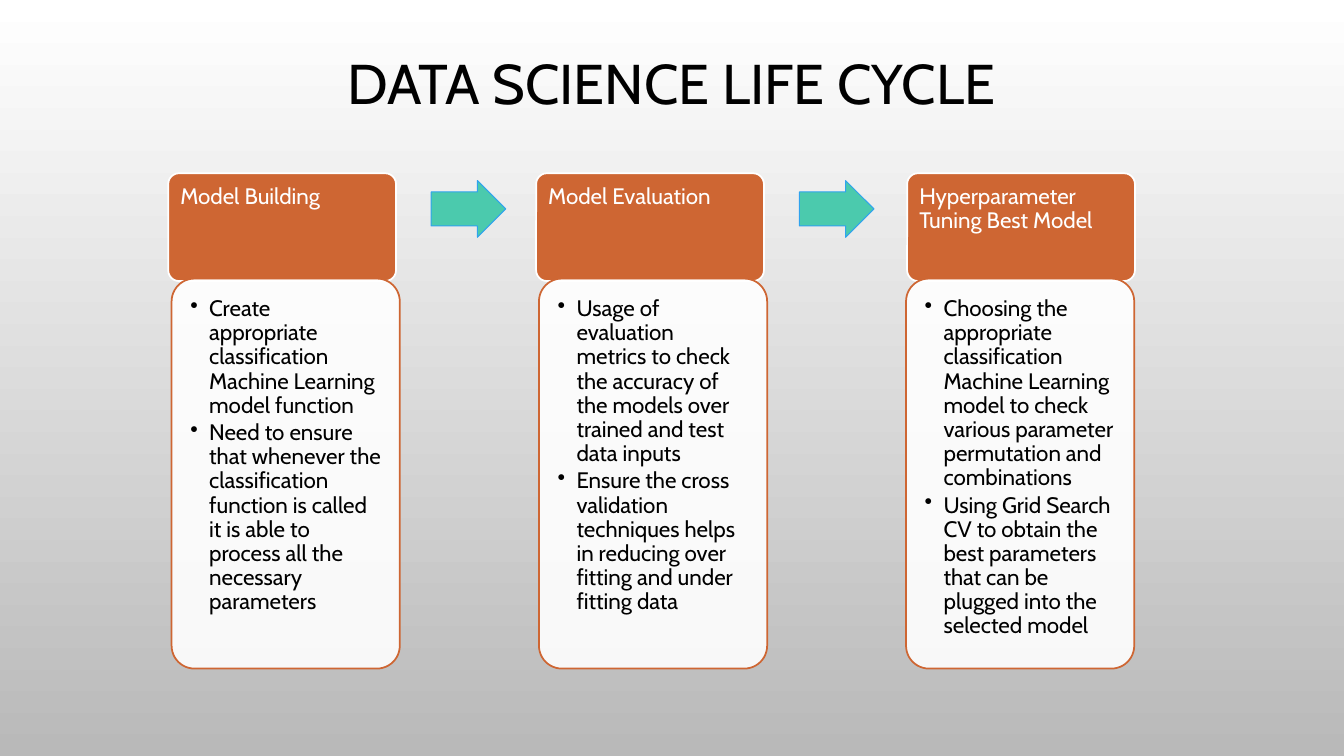
import pptx
import pptx.dml.color
import pptx.enum.shapes
import pptx.enum.text
import pptx.oxml.xmlchemy
import pptx.util
from lxml import etree
import pptx.oxml.ns

Pt = pptx.util.Pt
RGB = pptx.dml.color.RGBColor.from_string
SHAPE = pptx.enum.shapes.MSO_SHAPE
ANCHOR = pptx.enum.text.MSO_ANCHOR
ALIGN = pptx.enum.text.PP_ALIGN
qn = pptx.oxml.ns.qn

THEME = {
    "font": "Cabin", "title_size": 40, "text_size": 16,
    "black": RGB("000000"), "white": RGB("FFFFFF"), "grey": RGB("B9B9B9"),
    "orange": RGB("CE6633"), "green": RGB("4BCAAD"), "blue": RGB("2FA3EE"),
}

# Each stage: header left, card left, heading, bullet points
STAGES = [
    (120.2, 122.6, "Model Building", [
        "Create appropriate classification Machine Learning model function",
        "Need to ensure that whenever the classification function is called "
        "it is able to process all the necessary parameters"]),
    (383, 385, "Model Evaluation", [
        "Usage of evaluation metrics to check the accuracy of the models "
        "over trained and test data inputs",
        "Ensure the cross validation techniques helps in reducing over "
        "fitting and under fitting data"]),
    (648, 647.2, "Hyperparameter Tuning Best Model", [
        "Choosing the appropriate classification Machine Learning model to "
        "check various parameter permutation and combinations",
        "Using Grid Search CV to obtain the best parameters that can be "
        "plugged into the selected model"]),
]
ARROW_LEFTS = [308, 571]

presentation = pptx.Presentation()
presentation.slide_width, presentation.slide_height = Pt(960), Pt(540)
slide = presentation.slides.add_slide(presentation.slide_layouts[6])


def add_block(kind, box, fill, line, line_width, adjustments):
    shape = slide.shapes.add_shape(kind, *[Pt(length) for length in box])
    shape.shadow.inherit = False
    shape.fill.solid()
    shape.fill.fore_color.rgb = fill
    shape.line.color.rgb = line
    shape.line.width = Pt(line_width)
    for index, value in enumerate(adjustments):
        shape.adjustments[index] = value
    return shape


def write_text(shape, lines, size, color, align, anchor, insets, space_after=0):
    frame = shape.text_frame
    frame.word_wrap = True
    frame.vertical_anchor = anchor
    frame.margin_left, frame.margin_top, frame.margin_right, frame.margin_bottom = [
        Pt(inset) for inset in insets]
    for index, line in enumerate(lines):
        paragraph = frame.add_paragraph() if index else frame.paragraphs[0]
        paragraph.alignment = align
        paragraph.line_spacing = 0.9
        paragraph.space_after = Pt(space_after)
        run = paragraph.add_run()
        run.text = line
        run.font.name = THEME["font"]
        run.font.size = Pt(size)
        run.font.color.rgb = color


# Background gradient, top to bottom
background = slide.background.fill
background.gradient()
background.gradient_angle = 270
for stop, color, position in zip(background.gradient_stops, ("white", "grey"), (0, 1)):
    stop.color.rgb = THEME[color]
    stop.position = position

# Title
title = slide.shapes.add_textbox(Pt(214.5), Pt(32.4), Pt(530), Pt(54.7))
write_text(title, ["DATA SCIENCE LIFE CYCLE"], THEME["title_size"], THEME["black"],
           ALIGN.CENTER, ANCHOR.BOTTOM, (7.2, 3.6, 7.2, 3.6))

# Stages: orange header with a white card over its lower edge
for header_left, card_left, heading, points in STAGES:
    header = add_block(SHAPE.ROUNDED_RECTANGLE, (header_left, 123.8, 162.7, 77),
                       THEME["orange"], THEME["white"], 1.25, [0.1])
    write_text(header, [heading], THEME["text_size"], THEME["white"],
               ALIGN.LEFT, ANCHOR.TOP, (6.4, 6.4, 6.4, 5))

    card = add_block(SHAPE.ROUNDED_RECTANGLE, (card_left, 199, 163, 278.6),
                     THEME["white"], THEME["orange"], 1.25, [0.1])
    card_color = card.fill._xPr.find(qn("a:solidFill")).find(qn("a:srgbClr"))
    etree.SubElement(card_color, qn("a:alpha"), val="90000")
    write_text(card, points, THEME["text_size"], THEME["black"],
               ALIGN.LEFT, ANCHOR.TOP, (8.6, 8.6, 8.6, 8.6), space_after=2.2)
    for paragraph in card.text_frame.paragraphs:
        properties = paragraph._p.get_or_add_pPr()
        properties.set("marL", str(Pt(13.5)))
        properties.set("indent", str(Pt(-13.5)))
        etree.SubElement(properties, qn("a:buChar"), char="•")

# Arrows between the stages
for arrow_left in ARROW_LEFTS:
    add_block(SHAPE.RIGHT_ARROW, (arrow_left, 129, 53.3, 40.5),
              THEME["green"], THEME["blue"], 0.75, [0.6, 0.5])

presentation.save("out.pptx")
